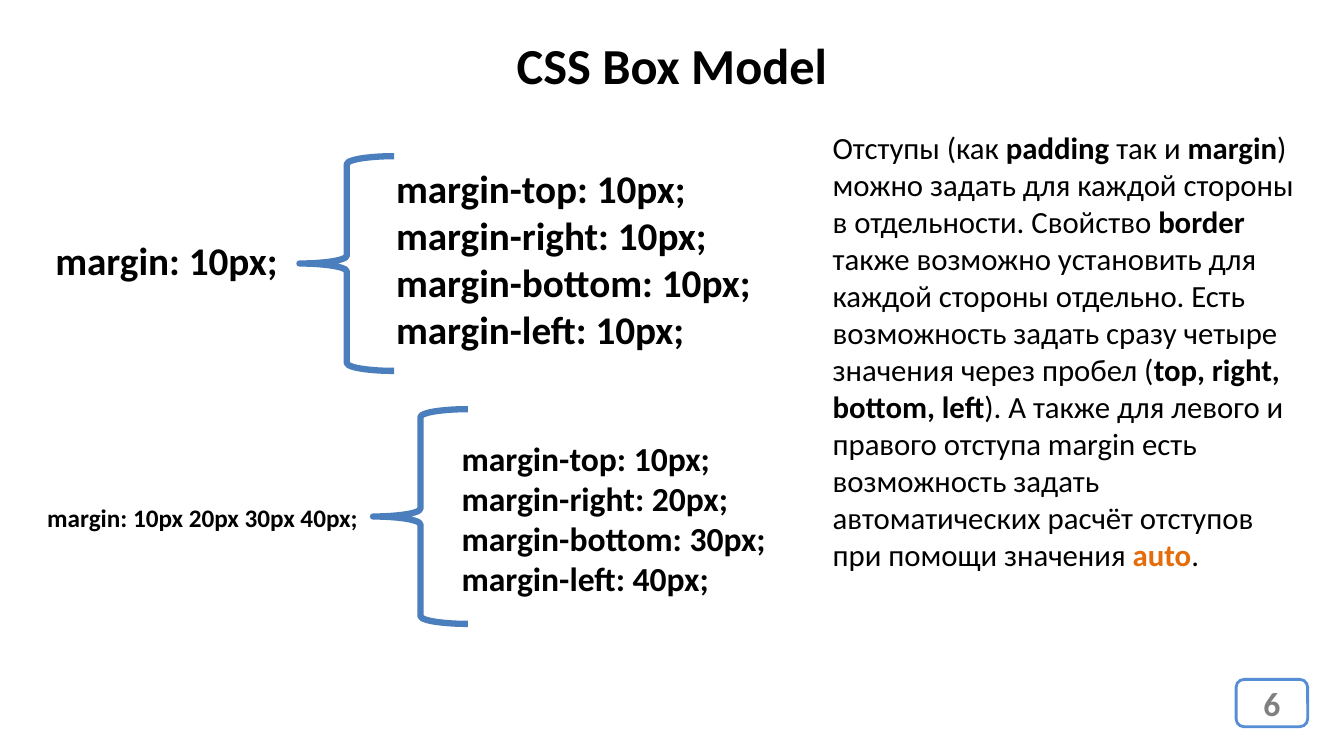
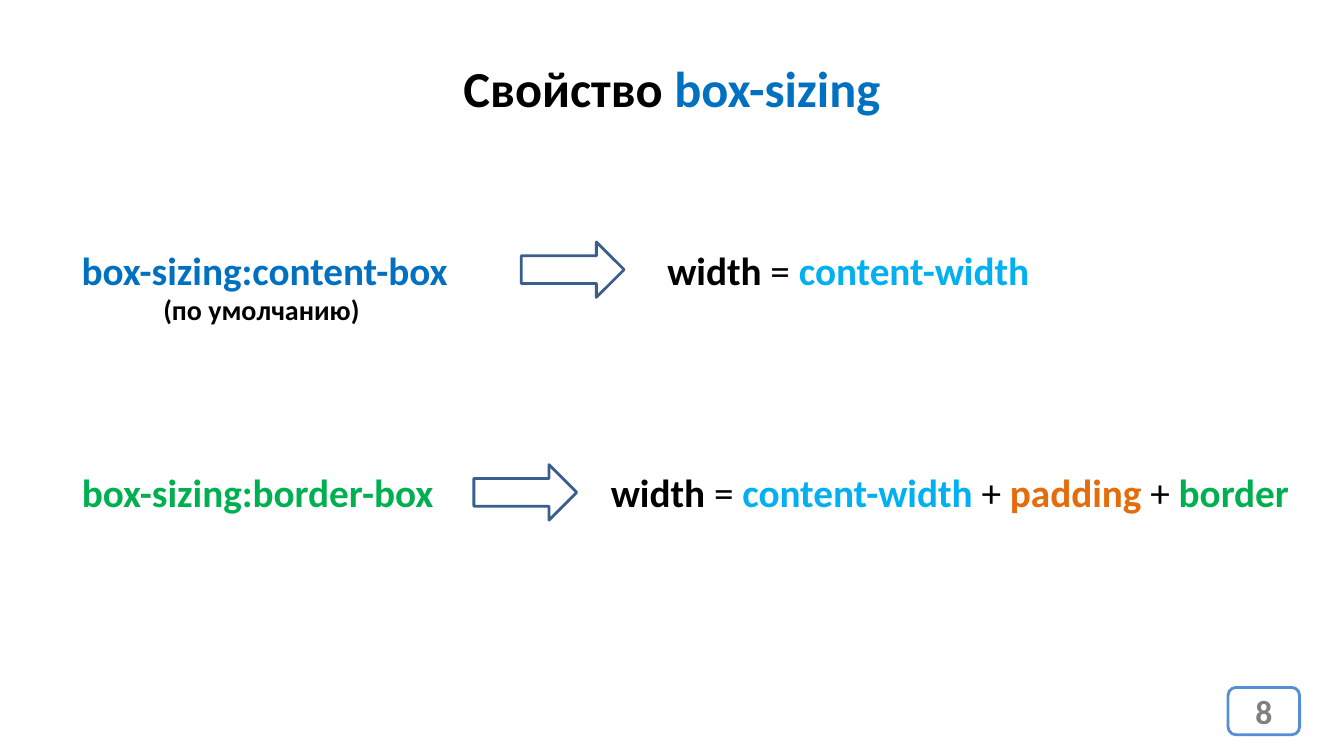
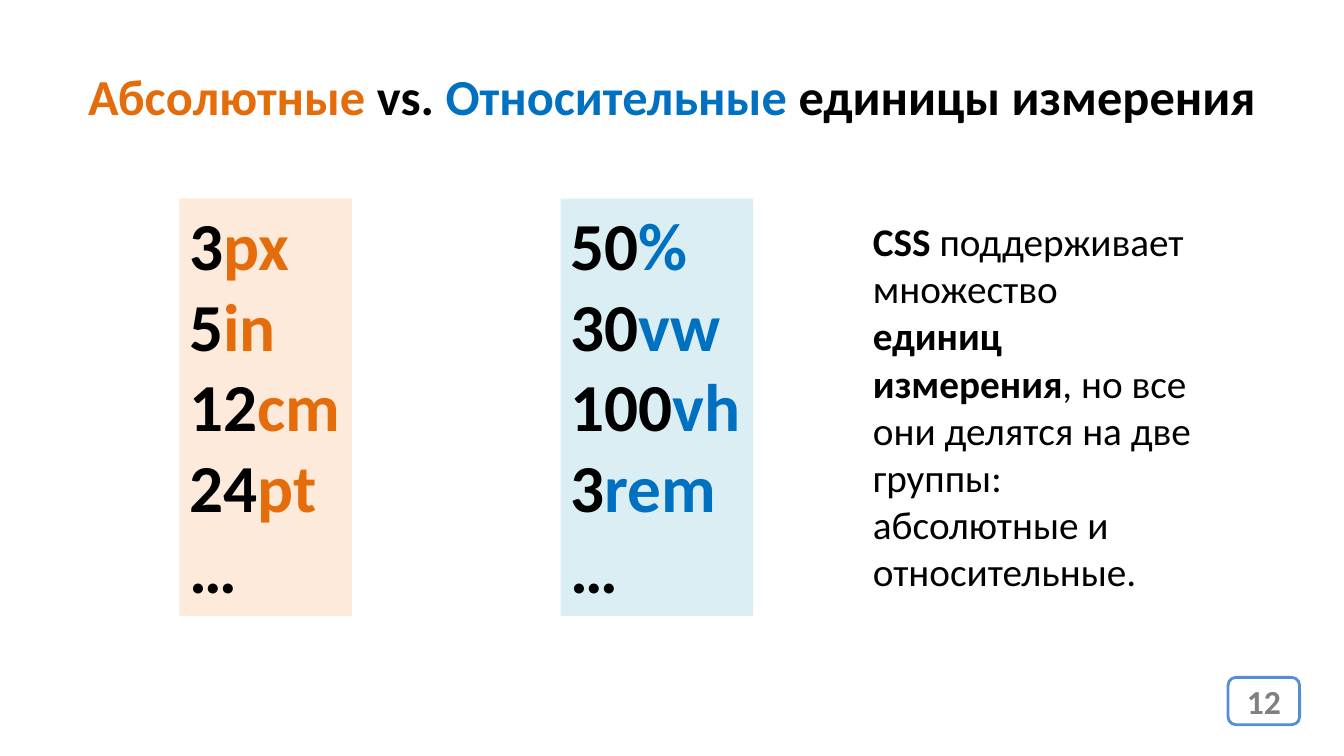
from pptx import Presentation
from pptx.dml.color import RGBColor
from pptx.enum.shapes import MSO_SHAPE
from pptx.enum.text import MSO_ANCHOR, MSO_AUTO_SIZE, PP_ALIGN
from pptx.util import Inches, Pt

# Theme: colours, type sizes, line widths
theme = {
    "font": "Calibri",
    "color": {
        "white": "FFFFFF", "black": "000000", "gray": "808080",
        "orange": "E46C0A", "blue": "0070C0", "sky": "00B0F0", "green": "00B050",
        "peach": "FDEADA", "ice": "DBEEF4",
        "frame": "558ED5", "brace": "4B7EBC", "arrow": "3A5F8C",
    },
    "size": {"title": 36, "huge": 48, "large": 28, "mid": 24,
             "body": 22, "note": 20, "small": 18},
    "line": {"thin": 2, "thick": 4.5},
}
color = {name: RGBColor.from_string(code) for name, code in theme["color"].items()}
size = {name: Pt(points) for name, points in theme["size"].items()}


def write(box, paras, scale="large", align=PP_ALIGN.LEFT, **frame):
    """Fill a box; a run is (text, colour), where "plain" is black and not bold."""
    for key, value in frame.items():
        setattr(box.text_frame, key, value)
    for i, runs in enumerate(paras):
        para = box.text_frame.paragraphs[0] if i == 0 else box.text_frame.add_paragraph()
        para.alignment = align
        for text, tone in runs:
            run = para.add_run()
            run.text = text
            format = {"name": theme["font"], "size": size[scale], "bold": tone != "plain"}
            for key, value in format.items():
                setattr(run.font, key, value)
            run.font.color.rgb = color["black" if tone == "plain" else tone]
    return box


def draw(slide, kind, place, line, width="thin", fill=None):
    """Add an outlined preset shape."""
    shape = slide.shapes.add_shape(kind, *map(Inches, place))
    shape.shadow.inherit = False
    shape.line.color.rgb = color[line]
    shape.line.width = Pt(theme["line"][width])
    if fill:
        shape.fill.solid()
        shape.fill.fore_color.rgb = color[fill]
    else:
        shape.fill.background()
    return shape


# Frame settings
mid = PP_ALIGN.CENTER
wrap = {"word_wrap": True, "auto_size": MSO_AUTO_SIZE.SHAPE_TO_FIT_TEXT}
tight = {"word_wrap": False, "auto_size": MSO_AUTO_SIZE.SHAPE_TO_FIT_TEXT}

deck = Presentation()
deck.slide_width, deck.slide_height = Inches(13.33), Inches(7.5)

# Title and page number on every slide
heads = [
    (0.29, [("CSS Box Model", "black")], "6", 12.26, 6.74),
    (0.52, [("Свойство ", "black"), ("box-sizing", "blue")], "8", 12.18, 6.82),
    (0.6, [("Абсолютные ", "orange"), ("vs. ", "black"), ("Относительные ", "blue"),
           ("единицы измерения", "black")], "12", 12.18, 6.72),
]
slides = []
for top, title, page, left, low in heads:
    slide = deck.slides.add_slide(deck.slide_layouts[6])
    box = slide.shapes.add_textbox(0, Inches(top), deck.slide_width, Inches(0.71))
    write(box, [title], "title", mid, **wrap)
    badge = draw(slide, MSO_SHAPE.ROUNDED_RECTANGLE, (left, low, 0.71, 0.47),
                 "frame", fill="white")
    write(badge, [[(page, "gray")]], "mid", mid, vertical_anchor=MSO_ANCHOR.MIDDLE)
    slides.append(slide)
model, sizing, units = slides

# Slide 1: short margin form, brace, long form
sides = ["top", "right", "bottom", "left"]
groups = [
    ("10px", [10, 10, 10, 10], (0.45, 2.3, 2.52, 0.57), "large",
     (2.97, 1.55), (3.83, 1.58, 3.77, 1.99), "large"),
    ("10px 20px 30px 40px", [10, 20, 30, 40], (0.37, 4.93, 3.37, 0.4), "small",
     (3.7, 4.06), (4.48, 4.29, 3.26, 1.72), "mid"),
]
for short, gaps, place, scale, spot, area, step in groups:
    draw(model, MSO_SHAPE.LEFT_BRACE, (*spot, 0.94, 2.13), "brace", "thick")
    box = model.shapes.add_textbox(*map(Inches, place))
    write(box, [[(f"margin: {short};", "black")]], scale, **tight)
    box = model.shapes.add_textbox(*map(Inches, area))
    rules = [[(f"margin-{side}: {gap}px;", "black")] for side, gap in zip(sides, gaps)]
    write(box, rules, step, **tight)

box = model.shapes.add_textbox(Inches(8.16), Inches(1.23), Inches(4.88), Inches(4.54))
write(box, [[
    ("Отступы (как ", "plain"), ("padding ", "black"), ("так и ", "plain"),
    ("margin", "black"),
    (") можно задать для каждой стороны в отдельности. Свойство ", "plain"),
    ("border ", "black"),
    ("также возможно установить для каждой стороны отдельно. Есть возможность "
     "задать сразу четыре значения через пробел (", "plain"),
    ("top, right, bottom, left", "black"),
    ("). А также для левого и правого отступа margin есть возможность задать "
     "автоматических расчёт отступов при помощи значения ", "plain"),
    ("auto", "orange"), (".", "plain"),
]], "body", **wrap)

# Slide 2: property value, arrow, resulting width
width = [("width", "black"), (" = ", "plain"), ("content-width", "sky")]
extra = [(" + ", "plain"), ("padding", "orange"), (" + ", "plain"), ("border", "green")]
rows = [
    (2.39, [("box-sizing:content-box", "blue")], 3.89, 5.17, width, 6.52, 3.84),
    (4.6, [("box-sizing:border-box", "green")], 3.75, 4.7, width + extra, 5.96, 6.97),
]
for top, name, span, tail, sum_runs, left, reach in rows:
    first = top == rows[0][0]
    box = sizing.shapes.add_textbox(Inches(0.68), Inches(top), Inches(span),
                                    Inches(0.91 if first else 0.57))
    write(box, [name], align=mid, **tight)
    if first:
        note = box.text_frame.add_paragraph()
        note.alignment = mid
        run = note.add_run()
        run.text = "(по умолчанию) "
        format = {"name": theme["font"], "size": size["note"], "bold": True}
        for key, value in format.items():
            setattr(run.font, key, value)
        run.font.color.rgb = color["black"]
    draw(sizing, MSO_SHAPE.RIGHT_ARROW, (tail, top + 0.01, 1.02, 0.55), "arrow")
    box = sizing.shapes.add_textbox(Inches(left), Inches(top), Inches(reach), Inches(0.57))
    write(box, [sum_runs], **tight)

# Slide 3: two unit lists and a remark
lists = [
    (1.78, 1.71, "peach", "orange", [("3", "px"), ("5", "in"), ("12", "cm"), ("24", "pt")]),
    (5.56, 1.91, "ice", "blue", [("50", "%"), ("30", "vw"), ("100", "vh"), ("3", "rem")]),
]
for left, span, back, tone, pairs in lists:
    box = units.shapes.add_textbox(Inches(left), Inches(1.97), Inches(span), Inches(4.14))
    box.fill.solid()
    box.fill.fore_color.rgb = color[back]
    lines = [[(number, "black"), (unit, tone)] for number, unit in pairs]
    write(box, lines + [[("…", "black")]], "huge", **tight)

box = units.shapes.add_textbox(Inches(8.56), Inches(2.11), Inches(3.39), Inches(3.87))
write(box, [[
    ("CSS ", "black"), ("поддерживает множество ", "plain"),
    ("единиц измерения", "black"),
    (", но все они делятся на две группы: абсолютные и относительные.", "plain"),
]], **wrap)

deck.save("out.pptx")
